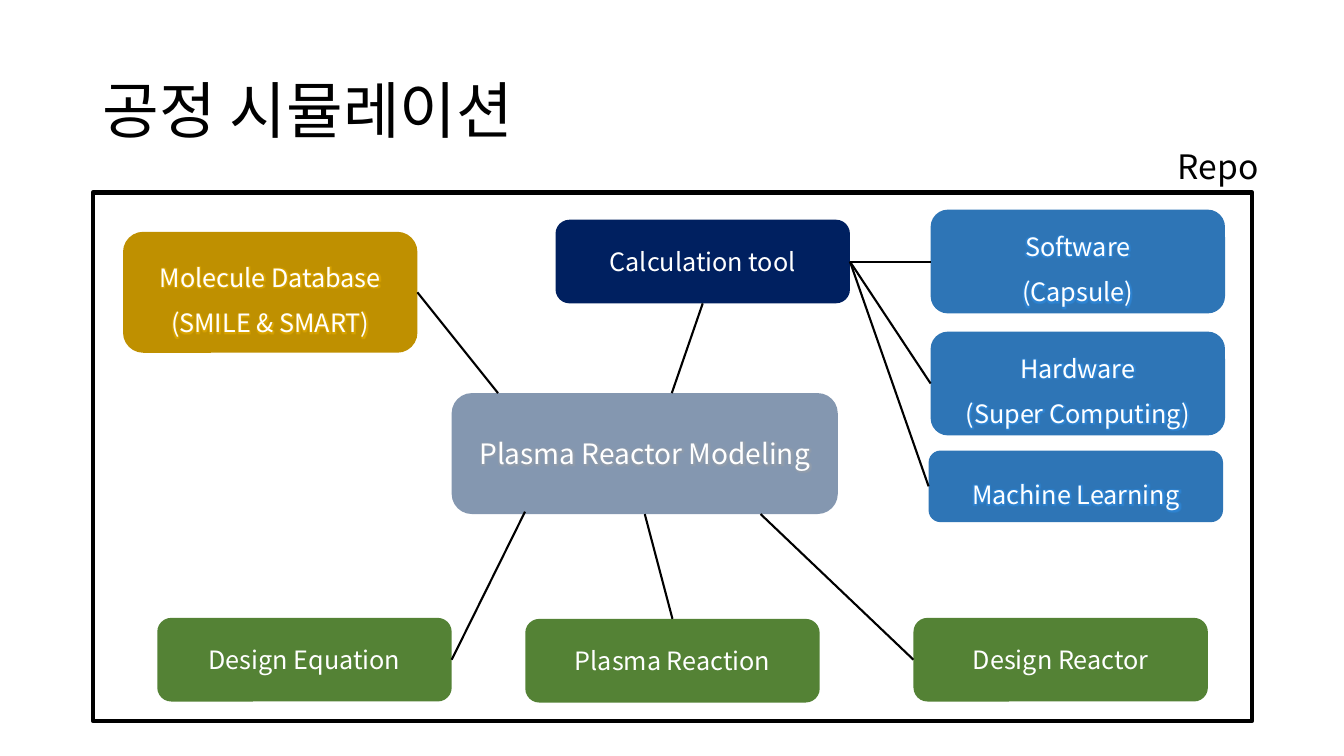
from dataclasses import dataclass

from lxml import etree
from pptx import Presentation
from pptx import util as u
from pptx.dml.color import RGBColor
from pptx.enum import shapes, text
from pptx.oxml.ns import qn


@dataclass(frozen=True)
class Theme:
    font: str = "Noto Sans CJK KR"
    black: str = "000000"
    white: str = "FFFFFF"
    grey: str = "8497B0"
    gold: str = "BF9000"
    green: str = "548235"
    navy: str = "002060"
    blue: str = "2E75B6"
    gold_glow: str = "FFC000"
    grey_glow: str = "A5A5A5"
    blue_glow: str = "2E9BFF"
    title: int = 44
    label: int = 24
    core: int = 20
    body: int = 18
    link: float = 1.5
    frame: float = 3


T = Theme()
W, H = 13.33, 7.5
MARGIN, CONTENT_W = 0.92, 11.5
BOX_W, LOW, MID, TALL = 2.92, 0.83, 1.03, 1.2
TOOLS_X, BOTTOM_Y = 9.23, 6.13

TITLE = "공정 시뮬레이션"
FRAME_LABEL = "Repo"

# name: (lines, left, top, width, height, fill, glow, size, line spacing)
BOXES = {
    "model": (["Plasma Reactor Modeling"], 4.48, 3.9, 3.83, TALL, T.grey, T.grey_glow, T.core, 1),
    "data": (["Molecule Database", "(SMILE & SMART)"], 1.22, 2.3, BOX_W, TALL,
             T.gold, T.gold_glow, T.body, 1.5),
    "equation": (["Design Equation"], 1.56, BOTTOM_Y, BOX_W, LOW, T.green, None, T.body, 1),
    "calc": (["Calculation tool"], 5.51, 2.18, BOX_W, LOW, T.navy, None, T.body, 1),
    "software": (["Software", "(Capsule)"], TOOLS_X, 2.08, BOX_W, MID,
                 T.blue, T.blue_glow, T.body, 1.5),
    "hardware": (["Hardware", "(Super Computing)"], TOOLS_X, 3.29, BOX_W, MID,
                 T.blue, T.blue_glow, T.body, 1.5),
    "reaction": (["Plasma Reaction"], 5.21, 6.14, BOX_W, LOW, T.green, None, T.body, 1),
    "reactor": (["Design Reactor"], 9.06, BOTTOM_Y, BOX_W, LOW, T.green, None, T.body, 1),
    "learning": (["Machine Learning"], 9.21, 4.47, BOX_W, 0.71,
                 T.blue, T.blue_glow, T.body, 1.5),
}

# Each end is a box and a point on it, as shares of its width and height
LEFT, RIGHT, TOP, BOTTOM = (0, 0.5), (1, 0.5), (0.5, 0), (0.5, 1)
LINKS = [
    ("model", BOTTOM, "reaction", TOP),
    ("model", (0.12, 0), "data", RIGHT),
    ("model", (0.19, 0.98), "equation", RIGHT),
    ("model", (0.8, 1), "reactor", LEFT),
    ("model", (0.57, 0), "calc", BOTTOM),
    ("calc", RIGHT, "software", LEFT),
    ("calc", RIGHT, "hardware", LEFT),
    ("calc", RIGHT, "learning", LEFT),
]


def rgb(value):
    return RGBColor.from_string(value)


def add_glow(r, color):
    effects = etree.SubElement(r.font._element, qn("a:effectLst"))
    glow = etree.SubElement(effects, qn("a:glow"), rad="63500")
    clr = etree.SubElement(glow, qn("a:srgbClr"), val=color)
    etree.SubElement(clr, qn("a:alpha"), val="40000")


def write(shape, lines, size, color, align, spacing=1.0, glow=None,
          anchor=text.MSO_ANCHOR.MIDDLE):
    tf = shape.text_frame
    tf.word_wrap = True
    tf.vertical_anchor = anchor
    for i, line in enumerate(lines):
        p = tf.add_paragraph() if i else tf.paragraphs[0]
        p.alignment = align
        p.line_spacing = spacing
        p.font.size = u.Pt(size)
        p.font.name = T.font
        p.font.color.rgb = rgb(color)
        r = p.add_run()
        r.text = line
        if glow:
            add_glow(r, glow)
        etree.SubElement(r.font._element, qn("a:ea"), typeface=T.font)


def add_box(s, kind, left, top, width, height):
    shape = s.shapes.add_shape(kind, *map(u.Inches, (left, top, width, height)))
    shape.shadow.inherit = False
    return shape


def add_label(s, label, area, size, align, spacing, anchor):
    box = s.shapes.add_textbox(*map(u.Inches, area))
    write(box, [label], size, T.black, align, spacing, anchor=anchor)


def point_on(name, share):
    left, top, width, height = BOXES[name][1:5]
    return u.Inches(left + share[0] * width), u.Inches(top + share[1] * height)


def add_link(s, start, end):
    line = s.shapes.add_connector(shapes.MSO_CONNECTOR.STRAIGHT, *start, *end)
    line.line.color.rgb = rgb(T.black)
    line.line.width = u.Pt(T.link)
    etree.SubElement(line._element.spPr, qn("a:effectLst"))


def main():
    prs = Presentation()
    prs.slide_width, prs.slide_height = u.Inches(W), u.Inches(H)
    s = prs.slides.add_slide(prs.slide_layouts[6])

    add_label(s, TITLE, (MARGIN, 0.4, CONTENT_W, 1.45), T.title,
              text.PP_ALIGN.LEFT, 0.9, text.MSO_ANCHOR.MIDDLE)

    frame = add_box(s, shapes.MSO_SHAPE.RECTANGLE, MARGIN, 1.91, CONTENT_W, 5.24)
    frame.fill.background()
    frame.line.color.rgb = rgb(T.black)
    frame.line.width = u.Pt(T.frame)
    add_label(s, FRAME_LABEL, (11.55, 1.4, 1.06, 0.5), T.label,
              text.PP_ALIGN.CENTER, 1.0, text.MSO_ANCHOR.TOP)

    for lines, left, top, width, height, fill, glow, size, spacing in BOXES.values():
        box = add_box(s, shapes.MSO_SHAPE.ROUNDED_RECTANGLE, left, top, width, height)
        box.fill.solid()
        box.fill.fore_color.rgb = rgb(fill)
        box.line.fill.background()
        write(box, lines, size, T.white, text.PP_ALIGN.CENTER, float(spacing), glow)

    for source, source_share, target, target_share in LINKS:
        add_link(s, point_on(source, source_share), point_on(target, target_share))

    prs.save("out.pptx")


if __name__ == "__main__":
    main()
